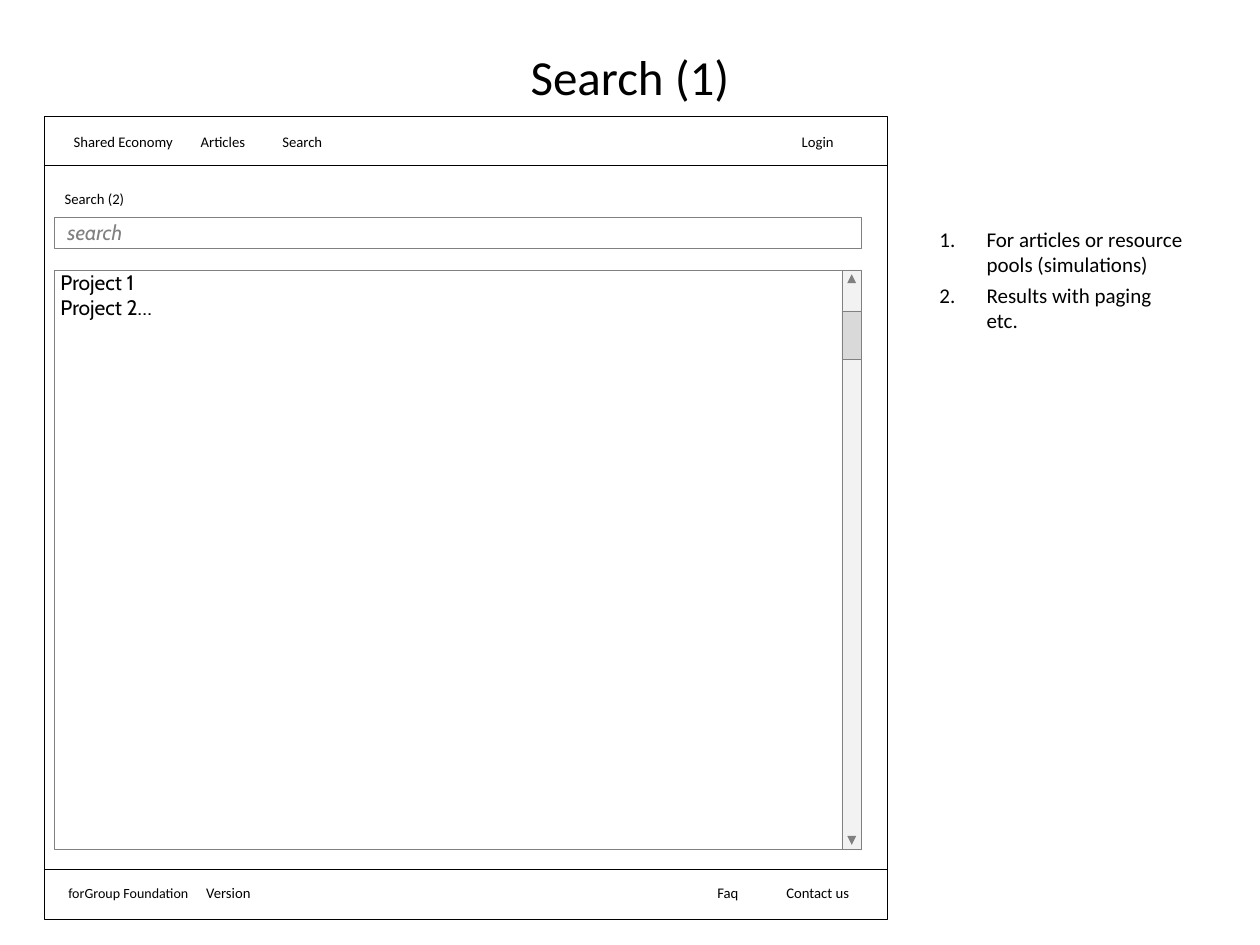
from dataclasses import dataclass

from lxml.etree import SubElement
from pptx import Presentation
from pptx.dml.color import RGBColor
from pptx.enum.shapes import MSO_CONNECTOR, MSO_SHAPE
from pptx.enum.text import MSO_ANCHOR as Anchor, PP_ALIGN as Align
from pptx.oxml.ns import qn
from pptx.util import Cm, Pt


@dataclass(frozen=True)
class Theme:
    black: str = "000000"
    white: str = "FFFFFF"
    grey: str = "808080"
    track: str = "F2F2F2"
    thumb: str = "D9D9D9"
    font: str = "Calibri"
    mockup_font: str = "Cabin"
    title_size: float = 28
    body_size: float = 12
    label_size: float = 8.4
    small_size: float = 8
    line_width: float = 0.25


@dataclass(frozen=True)
class Box:
    """A rectangle in centimetres."""
    left: float
    top: float
    width: float
    height: float

    @property
    def right(self) -> float:
        return self.left + self.width

    @property
    def bottom(self) -> float:
        return self.top + self.height

    def lengths(self) -> list:
        return [Cm(v) for v in (self.left, self.top, self.width, self.height)]


@dataclass(frozen=True)
class Label:
    text: str
    left: float
    top: float
    width: float = 2.79
    size: float = Theme.label_size


THEME = Theme()
NAV_TOP, FOOTER_TOP, LABEL_HEIGHT = 2.59, 17.73, 0.53
ARROW_SIZE, ARROW_GAP = 0.18, 0.09

# Layout
PAGE = Box(0.89, 2.34, 17, 16.2)
SEARCH_FIELD = Box(1.09, 4.37, 16.28, 0.64)
RESULTS = Box(1.09, 5.44, 16.28, 11.68)
SCROLLBAR = Box(RESULTS.right - 0.4, RESULTS.top, 0.4, RESULTS.height)
THUMB = Box(SCROLLBAR.left, 6.27, SCROLLBAR.width, 0.97)
DIVIDERS = (3.33, 17.53)

LABELS = [
    Label("Shared Economy", 1.09, NAV_TOP),
    Label("Articles", 3.1, NAV_TOP),
    Label("Search", 4.7, NAV_TOP),
    Label("Login", 15.09, NAV_TOP),
    Label("Search (2)", 0.51, 3.73),
    Label("forGroup Foundation", 1.09, FOOTER_TOP, 3, THEME.small_size),
    Label("Version", 3.73, FOOTER_TOP, 1.75),
    Label("Faq", 13.28, FOOTER_TOP),
    Label("Contact us", 15.09, FOOTER_TOP),
]
NOTES = ["For articles or resource pools (simulations)", "Results with paging etc."]


def rgb(color: str) -> RGBColor:
    return RGBColor.from_string(color)


def add_form(slide, box: Box, fill: str, line: str | None = None,
             kind=MSO_SHAPE.RECTANGLE):
    form = slide.shapes.add_shape(kind, *box.lengths())
    form.shadow.inherit = False
    form.fill.solid()
    form.fill.fore_color.rgb = rgb(fill)
    if line:
        form.line.color.rgb = rgb(line)
        form.line.width = Pt(THEME.line_width)
    else:
        form.line.fill.background()
    return form


def add_divider(slide, top: float) -> None:
    divider = slide.shapes.add_connector(
        MSO_CONNECTOR.STRAIGHT, Cm(PAGE.left), Cm(top), Cm(PAGE.right), Cm(top))
    divider.line.color.rgb = rgb(THEME.black)
    divider.line.width = Pt(THEME.line_width)
    SubElement(divider.line._ln.getparent(), qn("a:effectLst"))


def write(frame, lines: list[str], size: float, font: str = THEME.font,
          color: str = THEME.black, align=Align.LEFT, anchor=Anchor.TOP,
          insets: tuple = (0.25, 0.13, 0.25, 0.13), italic: bool = False,
          numbered: bool = False) -> None:
    frame.word_wrap = True
    frame.vertical_anchor = anchor
    (frame.margin_left, frame.margin_top,
     frame.margin_right, frame.margin_bottom) = [Cm(v) for v in insets]
    for index, line in enumerate(lines):
        paragraph = frame.add_paragraph() if index else frame.paragraphs[0]
        paragraph.alignment = align
        if numbered:
            if index:
                paragraph.space_before = Pt(2.9)
            properties = paragraph._p.get_or_add_pPr()
            properties.set("marL", str(Cm(0.95)))
            properties.set("indent", str(-Cm(0.95)))
            SubElement(properties, qn("a:buFont"), typeface="+mj-lt")
            SubElement(properties, qn("a:buAutoNum"), type="arabicPeriod")
        run = paragraph.add_run()
        run.text = line
        run.font.size = Pt(size)
        run.font.name = font
        run.font.italic = italic
        run.font.color.rgb = rgb(color)


def add_text(slide, box: Box, lines: list[str], size: float, **style) -> None:
    write(slide.shapes.add_textbox(*box.lengths()).text_frame, lines, size, **style)


def add_label(slide, label: Label) -> None:
    add_text(slide, Box(label.left, label.top, label.width, LABEL_HEIGHT),
             [label.text], label.size, align=Align.CENTER,
             anchor=Anchor.MIDDLE, insets=(0, 0, 0, 0))


def add_scroll_arrow(slide, top: float, rotation: float) -> None:
    left = SCROLLBAR.left + (SCROLLBAR.width - ARROW_SIZE) / 2
    arrow = add_form(slide, Box(left, top, ARROW_SIZE, ARROW_SIZE), THEME.grey,
                     kind=MSO_SHAPE.ISOSCELES_TRIANGLE)
    arrow.rotation = rotation


def main() -> None:
    deck = Presentation()
    deck.slide_width, deck.slide_height = Cm(25.4), Cm(19.05)
    slide = deck.slides.add_slide(deck.slide_layouts[6])

    # Page frame, title, navigation and footer
    add_form(slide, PAGE, THEME.white, THEME.black)
    add_text(slide, Box(1.27, 0.76, 22.86, 1.55), ["Search (1)"],
             THEME.title_size, align=Align.CENTER, anchor=Anchor.MIDDLE)
    for top in DIVIDERS:
        add_divider(slide, top)
    for label in LABELS:
        add_label(slide, label)

    # Numbered notes
    add_text(slide, Box(18.69, 4.44, 5.44, 12.57), NOTES, THEME.body_size,
             numbered=True)

    # Search field
    field = add_form(slide, SEARCH_FIELD, THEME.white, THEME.grey)
    write(field.text_frame, ["search"], THEME.body_size, THEME.mockup_font,
          THEME.grey, anchor=Anchor.MIDDLE, insets=(0.27, 0.13, 0.27, 0.13),
          italic=True)

    # Results list
    add_form(slide, RESULTS, THEME.white, THEME.grey)
    add_text(slide, Box(RESULTS.left, RESULTS.top, RESULTS.width, 1.07),
             ["Project 1", "Project 2…"], THEME.body_size,
             font=THEME.mockup_font, insets=(0.13, 0, 0, 0.05))

    # Scrollbar
    add_form(slide, SCROLLBAR, THEME.track, THEME.grey)
    add_form(slide, THUMB, THEME.thumb, THEME.grey)
    add_scroll_arrow(slide, SCROLLBAR.top + ARROW_GAP, 0)
    add_scroll_arrow(slide, SCROLLBAR.bottom - ARROW_GAP - ARROW_SIZE, 180)

    deck.save("out.pptx")


if __name__ == "__main__":
    main()
